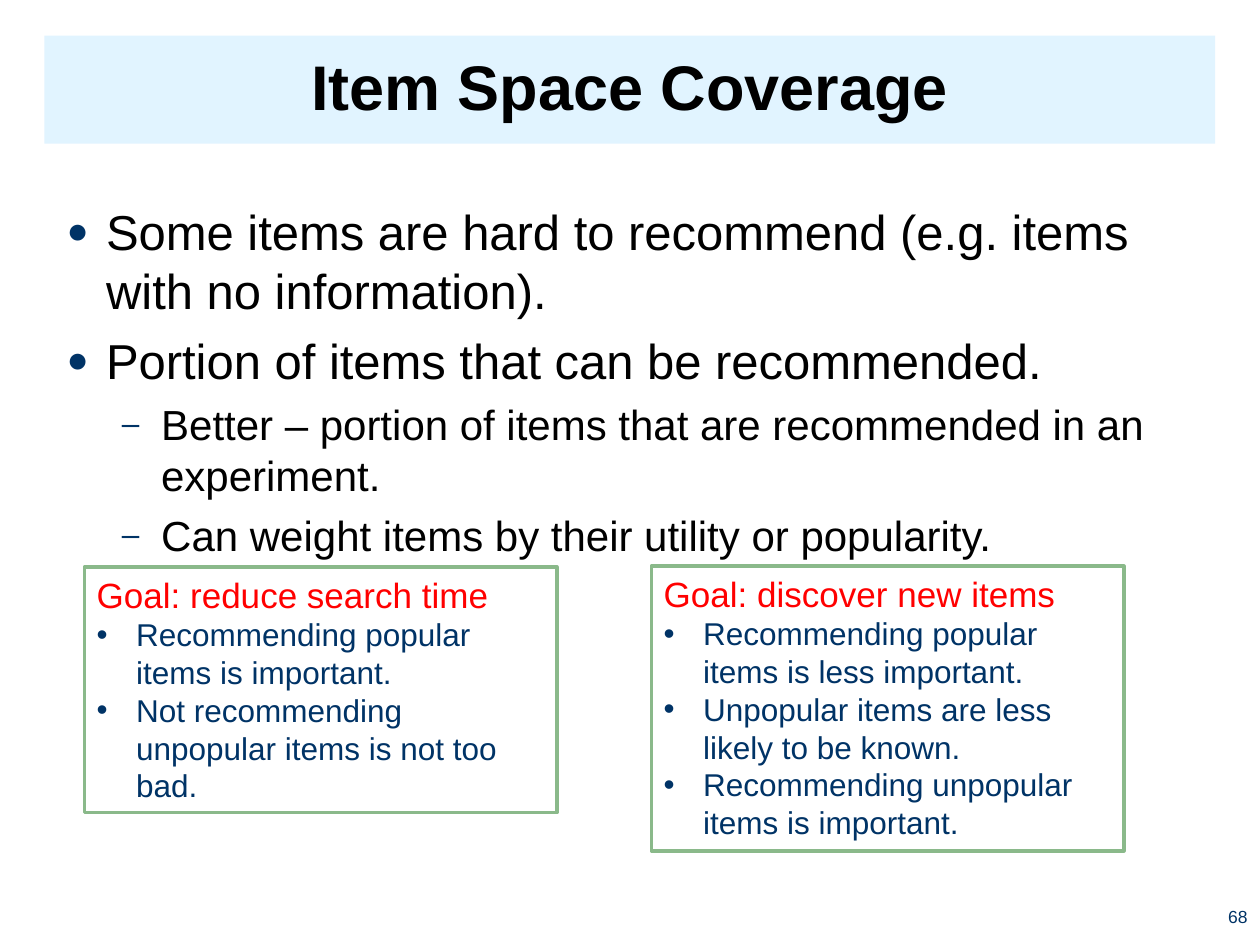
from lxml import etree
from pptx import Presentation
from pptx.dml.color import RGBColor
from pptx.enum.shapes import MSO_SHAPE
from pptx.enum.text import MSO_ANCHOR, PP_ALIGN
from pptx.oxml.ns import qn
from pptx.util import Pt

RECT = MSO_SHAPE.RECTANGLE
TOP, MIDDLE, BOTTOM = MSO_ANCHOR.TOP, MSO_ANCHOR.MIDDLE, MSO_ANCHOR.BOTTOM
LEFT, CENTER, RIGHT = PP_ALIGN.LEFT, PP_ALIGN.CENTER, PP_ALIGN.RIGHT

FONT = "Arial"
COLORS = {"band": "E1F4FF", "black": "000000", "navy": "003366",
          "red": "FF0000", "green": "8AB98A", "white": "FFFFFF"}

TITLE = "Item Space Coverage"
PAGE = "68"
POINTS = [
    (0, "Some items are hard to recommend (e.g. items with no information)."),
    (0, "Portion of items that can be recommended."),
    (1, "Better – portion of items that are recommended in an experiment."),
    (1, "Can weight items by their utility or popularity."),
]
LEVELS = [
    {"size": 28, "bullet": "●", "margin": 22.5, "before": 6.4},
    {"size": 24, "bullet": "–", "margin": 54, "before": 5.5},
]
GOALS = [
    ("Goal: reduce search time", (48.2, 324, 270, 140.4), [
        "Recommending popular items is important.",
        "Not recommending unpopular items is not too bad.",
    ]),
    ("Goal: discover new items", (372.2, 323.5, 270, 162.7), [
        "Recommending popular items is less important.",
        "Unpopular items are less likely to be known.",
        "Recommending unpopular items is important.",
    ]),
]
HANG = 22.5


def rgb(name):
    return RGBColor.from_string(COLORS[name])


def add_text(tf, text, size, color="black", bold=False, align=LEFT, spacing=None,
             before=0, bullet=None, margin=0, bullet_color=None, bullet_pct=100):
    p = tf.paragraphs[0]
    if p.runs:
        p = tf.add_paragraph()
    p.alignment = align
    p.space_before = Pt(before)
    if spacing:
        p.line_spacing = spacing
    r = p.add_run()
    r.text = text
    r.font.name, r.font.size, r.font.bold = FONT, Pt(size), bold
    r.font.color.rgb = rgb(color)
    if bullet:
        pPr = p._p.get_or_add_pPr()
        pPr.set("marL", str(Pt(margin)))
        pPr.set("indent", str(-Pt(HANG)))
        clr = etree.SubElement(pPr, qn("a:buClr"))
        etree.SubElement(clr, qn("a:srgbClr"), val=COLORS[bullet_color or color])
        etree.SubElement(pPr, qn("a:buSzPct"), val=str(bullet_pct * 1000))
        etree.SubElement(pPr, qn("a:buFont"), typeface=FONT)
        etree.SubElement(pPr, qn("a:buChar"), char=bullet)


def add_box(s, box, fill=None, line=None, anchor=TOP):
    x, y, w, h = map(Pt, box)
    if fill:
        sp = s.shapes.add_shape(RECT, x, y, w, h)
        sp.shadow.inherit = False
        sp.fill.solid()
        sp.fill.fore_color.rgb = rgb(fill)
        if line:
            sp.line.color.rgb = rgb(line)
            sp.line.width = Pt(2)
        else:
            sp.line.fill.background()
    else:
        sp = s.shapes.add_textbox(x, y, w, h)
    tf = sp.text_frame
    tf.word_wrap = True
    tf.vertical_anchor = anchor
    return tf


prs = Presentation()
prs.slide_width, prs.slide_height = Pt(720), Pt(540)
s = prs.slides.add_slide(prs.slide_layouts[6])

tf = add_box(s, (25.3, 20.4, 669, 61.7), fill="band", anchor=MIDDLE)
add_text(tf, TITLE, 36, bold=True, align=CENTER, spacing=0.9)

tf = add_box(s, (31, 111.6, 658, 391))
for level, text in POINTS:
    add_text(tf, text, bullet_color="navy", bullet_pct=75, **LEVELS[level])

tf = add_box(s, (691.2, 504.7, 28.8, 28.8), anchor=BOTTOM)
add_text(tf, PAGE, 10, color="navy", align=RIGHT)

for heading, box, reasons in GOALS:
    tf = add_box(s, box, fill="white", line="green")
    add_text(tf, heading, 20, color="red")
    for text in reasons:
        add_text(tf, text, 18, color="navy", bullet="•", margin=HANG)

prs.save("out.pptx")
